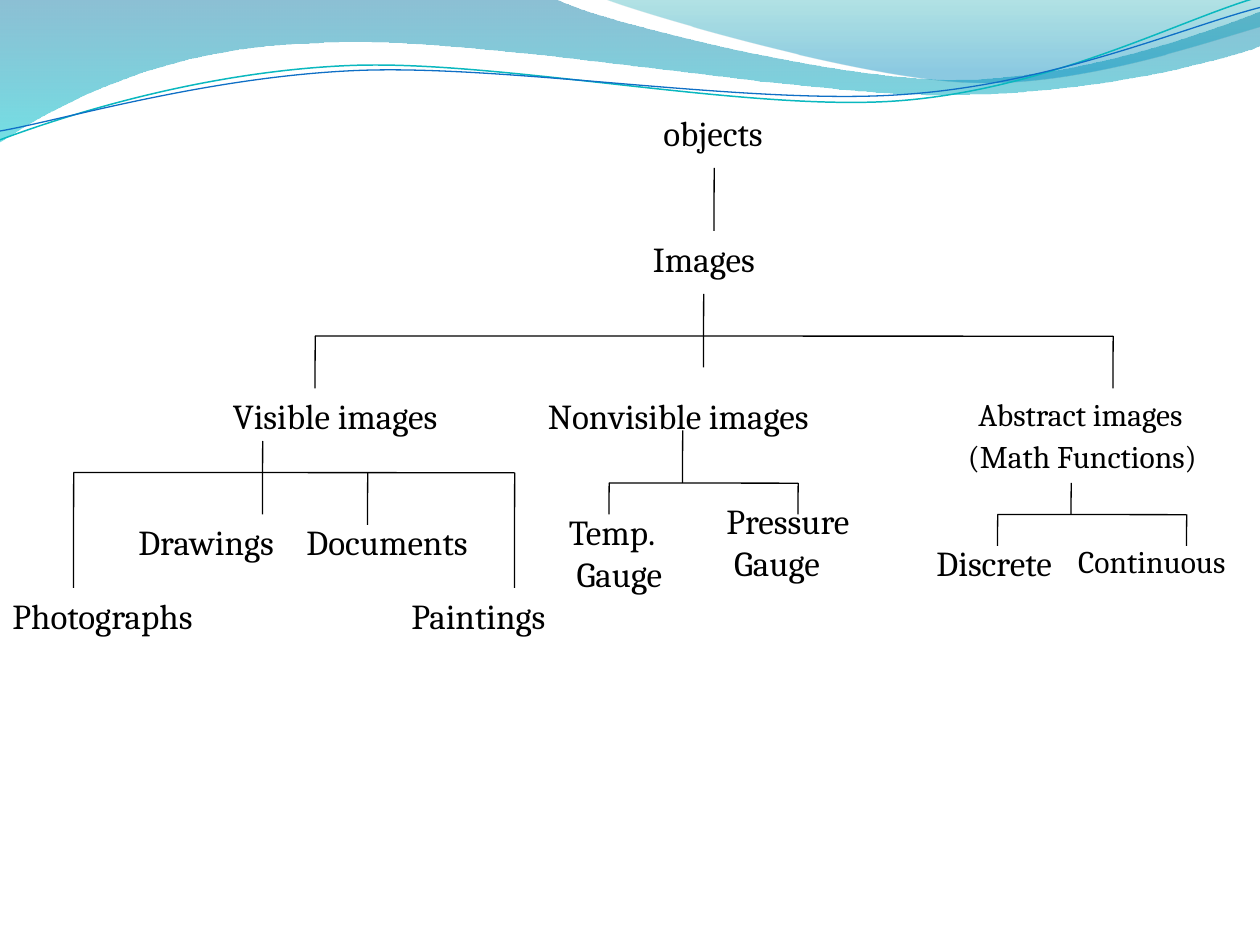
"""Build a slide with a tree of image types under a wavy header."""
import math

import pptx
import pptx.dml.color
import pptx.enum.shapes
import pptx.oxml
import pptx.oxml.ns
import pptx.util

presentation = pptx.Presentation()
presentation.slide_width = pptx.util.Inches(10)
presentation.slide_height = pptx.util.Inches(7.5)
slide = presentation.slides.add_slide(presentation.slide_layouts[6])
inch = pptx.util.Inches(1)
grid = presentation.slide_width // 120


def color(hex_string):
    return pptx.dml.color.RGBColor.from_string(hex_string)


def add_wave(shapes, start, segments, closed):
    """Draw line segments (1 point) and cubic curves (3 points)."""
    points = [point for segment in segments for point in segment]
    points = [(round(x * inch), round(y * inch)) for x, y in [start] + points]
    builder = shapes.build_freeform(*points[0])
    builder.add_line_segments(points[1:], close=closed)
    shape = builder.convert_to_shape()
    line_elements = list(shape._element.iter(pptx.oxml.ns.qn("a:lnTo")))
    for segment in segments:
        pieces, line_elements = line_elements[:len(segment)], line_elements[len(segment):]
        if len(segment) == 3:
            curve = pptx.oxml.parse_xml(f'<a:cubicBezTo {pptx.oxml.ns.nsdecls("a")}/>')
            pieces[0].addprevious(curve)
            for piece in pieces:
                curve.append(piece[0])
                piece.getparent().remove(piece)
    shape.shadow.inherit = False
    return shape


bands = [
    ((0, 0), [[(4.4, -0.01)], [(4.76, 0.17), (6.64, 0.63), (7.58, 0.63)],
              [(8.53, 0.63), (9.58, 0.26), (10, 0.09)], [(10.01, 0.36)],
              [(9.83, 0.44), (8.7, 0.76), (7.46, 0.75)],
              [(6.22, 0.75), (3.82, 0.28), (2.57, 0.34)],
              [(1.29, 0.36), (0.46, 0.83), (-0.01, 1.13)], [(0, 0)]],
     [(0, "0074A1", 45), (1, "00C6CF", 55)]),
    ((4.79, -0.01), [[(5.09, 0.11), (6.82, 0.62), (7.69, 0.65)],
                     [(8.56, 0.69), (9.61, 0.32), (10, 0.21)], [(10, 0)], [(4.79, -0.01)]],
     [(0, "00A1A9", 30), (0.8, "008BBF", 45)]),
]
for start, segments, stops in bands:
    band = add_wave(slide.shapes, start, segments, True)
    band.line.fill.background()
    band.fill.gradient()
    band.fill.gradient_angle = 270
    for stop, (position, hex_string, opacity) in zip(band.fill.gradient_stops, stops):
        stop.position = position
        stop.color.rgb = color(hex_string)
    color_elements = band._element.iter(pptx.oxml.ns.qn("a:srgbClr"))
    for element, (position, hex_string, opacity) in zip(color_elements, stops):
        element.append(pptx.oxml.parse_xml(
            f'<a:alpha {pptx.oxml.ns.nsdecls("a")} val="{opacity * 1000}"/>'))

strands = [
    ((0, 1.11), [[(0.48, 0.93), (1.58, 0.57), (2.77, 0.52)],
                 [(3.95, 0.47), (5.93, 0.89), (7.13, 0.8)],
                 [(8.33, 0.71), (9.38, 0.15), (9.98, -0.02)]], "0AB8BF", 0.85, (4.99, 0.58)),
    ((0, 1.04), [[(0.47, 0.96), (1.64, 0.61), (2.83, 0.56)],
                 [(4.03, 0.51), (5.97, 0.84), (7.17, 0.75)],
                 [(8.36, 0.67), (9.41, 0.21), (10, 0.06)]], "0F6FC6", 0.75, (5, 0.59)),
]
tilt = 2.7
cosine, sine = math.cos(math.radians(tilt)), math.sin(math.radians(tilt))
strand_group = slide.shapes.add_group_shape()
for start, segments, hex_string, width, (center_x, center_y) in strands:
    level = [[(center_x + (x - center_x) * cosine - (y - center_y) * sine,
               center_y + (x - center_x) * sine + (y - center_y) * cosine)
              for x, y in segment] for segment in [[start]] + segments]
    strand = add_wave(strand_group.shapes, level[0][0], level[1:], False)
    strand.rotation = 360 - tilt
    strand.fill.background()
    strand.line.color.rgb = color(hex_string)
    strand.line.width = pptx.util.Pt(width)

bars = [(30, 106, 32), (7, 49, 45), (58, 76, 46), (95, 113, 49)]
stems = [
    (68, 16, 22), (67, 28, 35), (30, 32, 37), (106, 32, 37),
    (7, 45, 56), (25, 42, 49), (35, 45, 50), (49, 45, 56),
    (65, 41, 46), (58, 46, 49), (76, 46, 49),
    (102, 46, 49), (95, 49, 52), (113, 49, 52),
]
slant = 0.02
branches = [(left, row, right, row + slant) for left, right, row in bars]
branches += [(column + slant, top, column, bottom) for column, top, bottom in stems]
for branch in branches:
    connector = slide.shapes.add_connector(
        pptx.enum.shapes.MSO_CONNECTOR.STRAIGHT, *[round(value * grid) for value in branch])
    connector.line.color.rgb = color("000000")
    connector.line.width = pptx.util.Pt(0.75)
    connector._element.spPr.append(
        pptx.oxml.parse_xml(f'<a:effectLst {pptx.oxml.ns.nsdecls("a")}/>'))

labels = [
    (62, 10, 13.5, 20, ["objects"]),
    (61, 22, 13.5, 20, ["Images"]),
    (21, 37, 24, 20, ["Visible images"]),
    (51, 37, 30, 20, ["Nonvisible images"]),
    (92, 37, 24, 18, ["Abstract images"]),
    (91, 41, 25.5, 18, ["(Math Functions)"]),
    (0, 56, 21.5, 20, ["Photographs"]),
    (12, 49, 17, 20, ["Drawings"]),
    (28, 49, 20, 20, ["Documents"]),
    (38, 56, 17, 20, ["Paintings"]),
    (53, 48, 13, 20, ["Temp.", " Gauge"]),
    (68, 47, 15, 20, ["Pressure", " Gauge"]),
    (88, 51, 14.5, 20, ["Discrete"]),
    (101.5, 51, 18.5, 18, ["Continuous"]),
]
for column, row, width, size, lines in labels:
    height = 1.25 + 4 * len(lines) * size / 20
    label = slide.shapes.add_textbox(
        *[round(value * grid) for value in (column, row, width, height)])
    label.text_frame.word_wrap = True
    for index, text in enumerate(lines):
        paragraph = (label.text_frame.add_paragraph() if index
                     else label.text_frame.paragraphs[0])
        run = paragraph.add_run()
        run.text = text
        run.font.name = "Cambria"
        run.font.size = pptx.util.Pt(size)
        run.font.color.rgb = color("000000")

presentation.save("out.pptx")
